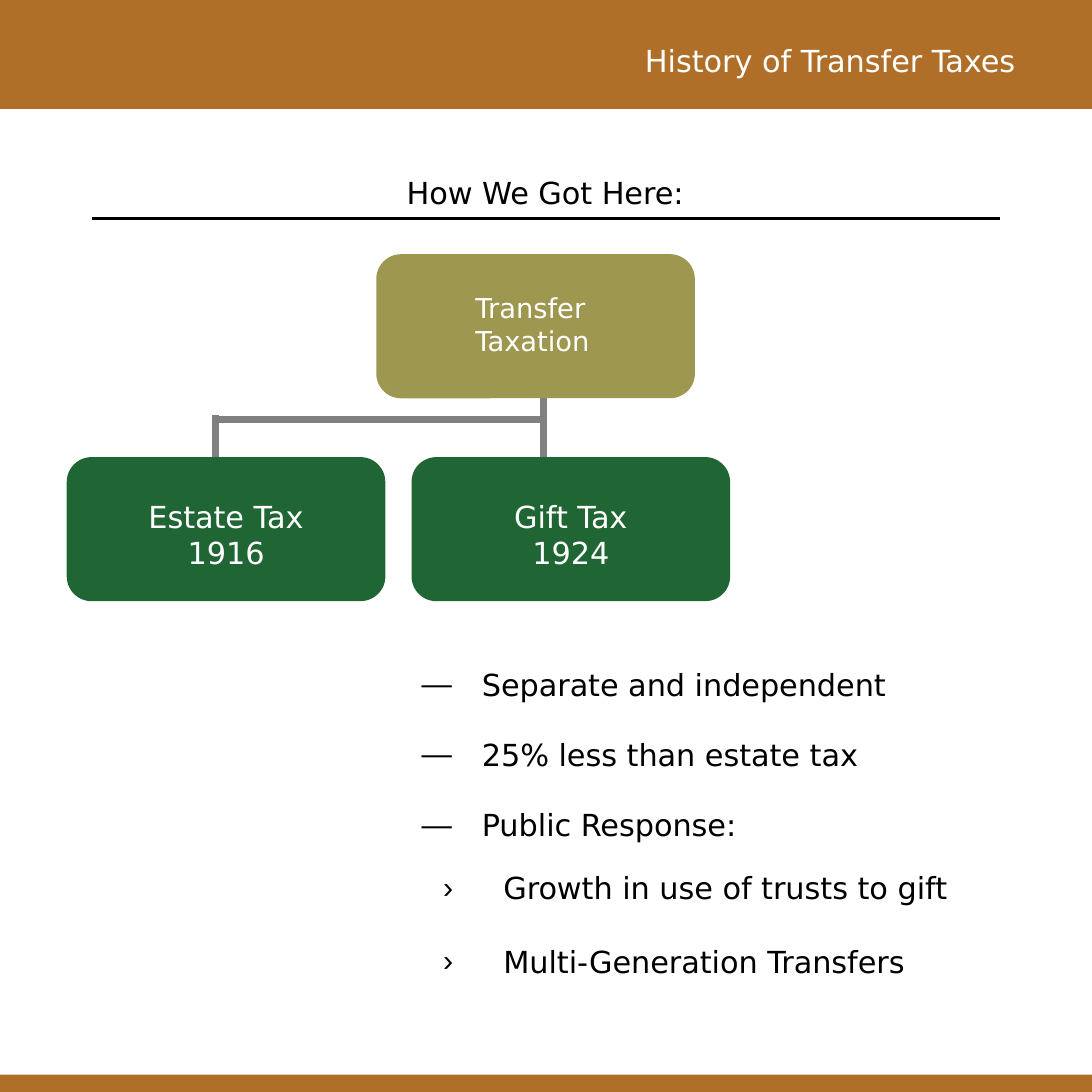
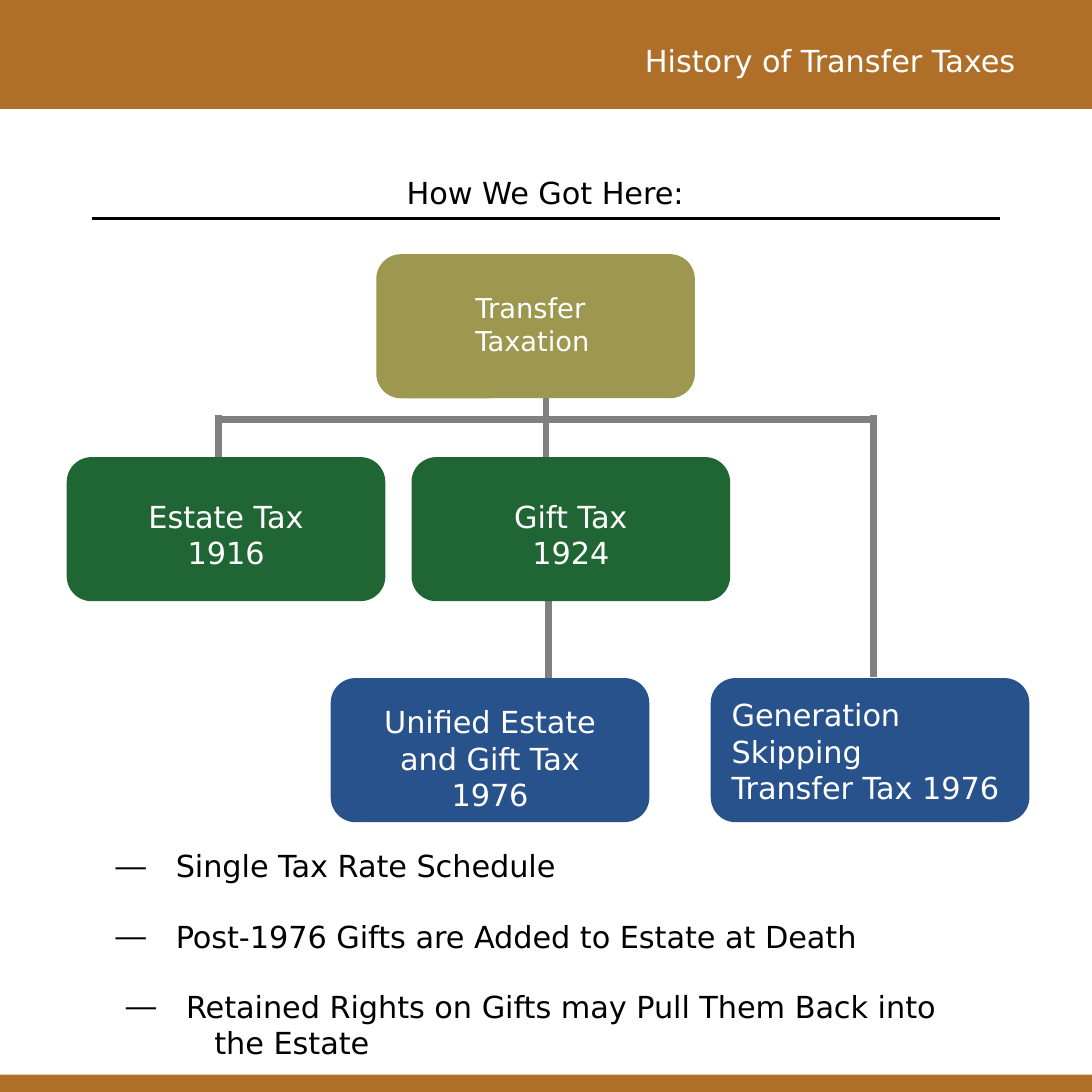
from dataclasses import dataclass

from lxml import etree
from pptx import Presentation
from pptx.dml.color import RGBColor
from pptx.enum import shapes, text
from pptx.oxml import ns
from pptx.util import Cm, Pt

LEFT, MID, RIGHT = text.PP_ALIGN.LEFT, text.PP_ALIGN.CENTER, text.PP_ALIGN.RIGHT


@dataclass(frozen=True)
class Theme:
    font: str = "DejaVu Sans"
    size: float = 10
    small: float = 9
    brown: str = "AF6F29"
    white: str = "FFFFFF"
    black: str = "000000"
    gray: str = "808080"
    olive: str = "9D9750"
    green: str = "206634"
    blue: str = "28528C"


T = Theme()


@dataclass(frozen=True)
class Node:
    """A rounded box; pad and top place its text, in cm."""
    x: float
    y: float
    fill: str
    lines: tuple[str, ...]
    top: float
    pad: float = 0
    align: text.PP_ALIGN = MID
    size: float = T.size


@dataclass(frozen=True)
class Item:
    """A list line: bullet sign, text indent and gap above."""
    words: str
    sign: str = "—"
    indent: float = 0.7
    gap: float = 11.1
    level: int = 0


@dataclass(frozen=True)
class Drop:
    """A vertical branch of the tree."""
    x: float
    end: float = 5.46


@dataclass(frozen=True)
class Page:
    trunk: float
    drops: tuple[Drop, ...]
    nodes: tuple[Node, ...]
    box: tuple[float, float, float, float]
    items: tuple[Item, ...]
    stem: Drop | None = None


# Tree measures, in cm
NODE_W, NODE_H = 3.68, 1.65
ROW1, ROW2, ROW3 = 2.97, 5.33, 7.9
BAR = 4.88
HANG = 0.7

# Boxes
BASE = (
    Node(4.39, ROW1, T.olive, ("Transfer", "Taxation"), 0.34, 1.06, LEFT, T.small),
    Node(0.79, ROW2, T.green, ("Estate Tax", "1916"), 0.38),
    Node(4.8, ROW2, T.green, ("Gift Tax", "1924"), 0.38),
)
LATER = (
    Node(3.86, ROW3, T.blue, ("Unified Estate", "and Gift Tax", "1976"), 0.2),
    Node(8.28, ROW3, T.blue, ("Generation Skipping", "Transfer Tax 1976"),
         0.12, 0.15, LEFT),
)

# Slides
PAGES = (
    Page(6.32, (Drop(2.51), Drop(6.32)), BASE, (4.65, 7.62, 7.9, 4.2), (
        Item("Separate and independent"),
        Item("25% less than estate tax"),
        Item("Public Response:"),
        Item("Growth in use of trusts to gift", "›", 0.95, 8.8, 1),
        Item("Multi-Generation Transfers", "›", 0.95, 12.3, 1),
    )),
    Page(6.35, (Drop(2.54), Drop(6.35), Drop(10.16, 7.87)), BASE + LATER,
         (1.09, 9.73, 10.54, 2.74), (
        Item("Single Tax Rate Schedule"),
        Item("Post-1976 Gifts are Added to Estate at Death"),
        Item("Retained Rights on Gifts may Pull Them Back into", indent=0.82),
        Item("the Estate", "", 1.15, 0),
    ), Drop(6.38, ROW3)),
)


def rgb(code: str) -> RGBColor:
    return RGBColor.from_string(code)


def style(par, color: str, align=LEFT, size: float = T.size, gap: float = 0) -> None:
    par.alignment = align
    par.space_before = Pt(gap)
    par.font.name, par.font.size = T.font, Pt(size)
    par.font.color.rgb = rgb(color)


def place(shape, x: float, y: float, w: float, h: float) -> None:
    shape.left, shape.top, shape.width, shape.height = map(Cm, (x, y, w, h))


def line(slide, x1: float, y1: float, x2: float, y2: float,
         color: str = T.gray, width: float = 2.25) -> None:
    rule = slide.shapes.add_connector(
        shapes.MSO_CONNECTOR.STRAIGHT, *map(Cm, (x1, y1, x2, y2)))
    rule.line.color.rgb, rule.line.width = rgb(color), Pt(width)
    etree.SubElement(rule.element.spPr, ns.qn("a:effectLst"))


def block(slide, kind, x: float, y: float, w: float, h: float, fill: str):
    shape = slide.shapes.add_shape(kind, *map(Cm, (x, y, w, h)))
    shape.shadow.inherit = False
    shape.fill.solid()
    shape.fill.fore_color.rgb = rgb(fill)
    return shape


def frame(slide) -> None:
    """Draw the white panel, title and heading."""
    panel = block(slide, shapes.MSO_SHAPE.RECTANGLE, 0, 1.27, 12.7, 11.23, T.white)
    panel.line.fill.background()
    title = slide.shapes.title
    title.element.addprevious(panel.element)
    place(title, 1.7, 0.36, 10.36, 0.69)
    title.text_frame.text = "History of Transfer Taxes"
    style(title.text_frame.paragraphs[0], T.white, RIGHT)

    head = slide.shapes.add_textbox(*map(Cm, (1.07, 1.9, 10.54, 0.69))).text_frame
    head.word_wrap = True
    head.text = "How We Got Here:"
    style(head.paragraphs[0], T.black, MID)
    line(slide, 1.07, 2.54, 11.63, 2.54, T.black, 0.75)


def tree(slide, page: Page) -> None:
    line(slide, page.trunk, 4.27, page.trunk, BAR)
    spots = [drop.x for drop in page.drops]
    line(slide, min(spots), BAR, max(spots), BAR)
    for drop in page.drops:
        line(slide, drop.x, BAR - 0.05, drop.x, drop.end)
    if page.stem:
        line(slide, page.stem.x, ROW2 + NODE_H, page.stem.x, page.stem.end)


def draw(slide, node: Node) -> None:
    shape = block(slide, shapes.MSO_SHAPE.ROUNDED_RECTANGLE,
                  node.x, node.y, NODE_W, NODE_H, node.fill)
    shape.line.color.rgb, shape.line.width = rgb(node.fill), Pt(0.75)
    body = shape.text_frame
    body.word_wrap = True
    body.vertical_anchor = text.MSO_ANCHOR.TOP
    body.margin_left = body.margin_right = Cm(node.pad)
    body.margin_top, body.margin_bottom = Cm(node.top), 0
    body.text = "\n".join(node.lines)
    for par in body.paragraphs:
        style(par, T.white, node.align, node.size)


def bullet(par, item: Item) -> None:
    props = par._p.get_or_add_pPr()
    props.set("marL", str(Cm(item.indent)))
    props.set("indent", str(-Cm(HANG) if item.sign else 0))
    if not item.sign:
        etree.SubElement(props, ns.qn("a:buNone"))
        return
    tint = etree.SubElement(props, ns.qn("a:buClr"))
    etree.SubElement(tint, ns.qn("a:srgbClr"), val=T.black)
    etree.SubElement(props, ns.qn("a:buChar"), char=item.sign)


def points(slide, page: Page) -> None:
    holder = slide.placeholders[1]
    place(holder, *page.box)
    body = holder.text_frame
    body.auto_size = text.MSO_AUTO_SIZE.NONE
    body.text = "\n".join(item.words for item in page.items)
    for i, (par, item) in enumerate(zip(body.paragraphs, page.items)):
        par.level = item.level
        bullet(par, item)
        style(par, T.black, gap=item.gap if i else 0)


def main() -> None:
    deck = Presentation()
    deck.slide_width = deck.slide_height = Cm(12.7)
    back = deck.slide_master.background.fill
    back.solid()
    back.fore_color.rgb = rgb(T.brown)
    for page in PAGES:
        slide = deck.slides.add_slide(deck.slide_layouts[1])
        frame(slide)
        tree(slide, page)
        for node in page.nodes:
            draw(slide, node)
        points(slide, page)
    deck.save("out.pptx")


if __name__ == "__main__":
    main()
